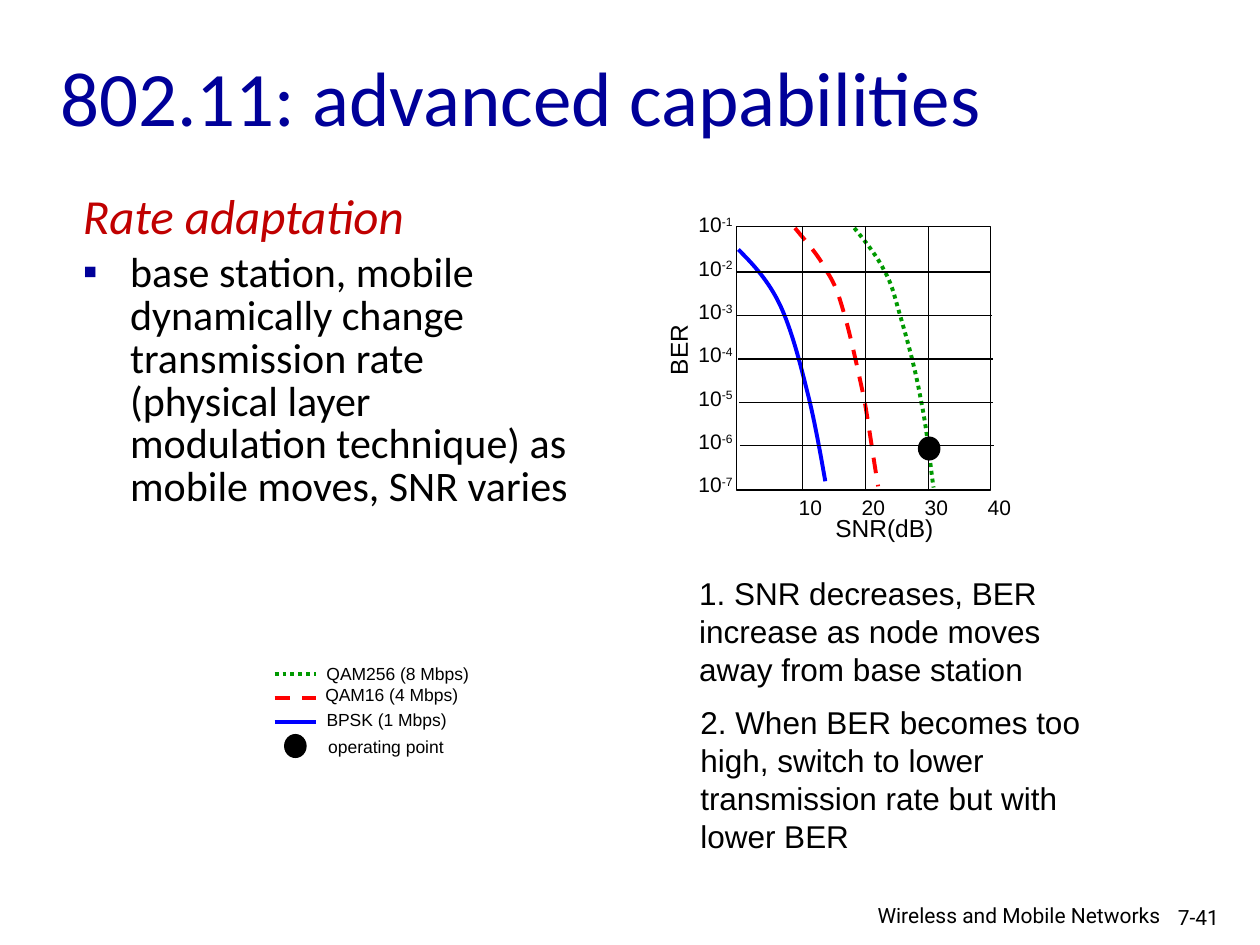
from dataclasses import dataclass
from typing import Optional

from lxml import etree
from pptx import Presentation
from pptx.dml.color import RGBColor
from pptx.enum import dml, shapes, text
from pptx.oxml import ns
from pptx.util import Pt

BLACK = RGBColor(0, 0, 0)
NAVY = RGBColor(0, 0, 0x99)
CRIMSON = RGBColor(0xC0, 0, 0)
BLUE = RGBColor(0, 0, 0xFF)
RED = RGBColor(0xFF, 0, 0)
GREEN = RGBColor(0, 0x99, 0)

DASH = dml.MSO_LINE.DASH
DOT = dml.MSO_LINE.ROUND_DOT

LEFT, TOP, WIDE, HIGH = 420.8, 129.6, 145.4, 150.4
ROW, COL = 24.8, 36


@dataclass
class Label:
    words: str
    x: float
    y: float
    w: float
    h: float
    size: float
    font: str = "Arial"
    color: RGBColor = BLACK
    wrap: bool = False
    power: str = ""
    turn: float = 0
    align: Optional[text.PP_ALIGN] = None
    anchor: Optional[text.MSO_ANCHOR] = None


@dataclass
class Rate:
    """One modulation: its legend row and its Bezier control points."""
    name: str
    color: RGBColor
    dash: Optional[dml.MSO_LINE]
    x: float
    y: float
    w: float
    line: float
    points: list[tuple[float, float]]


RATES = [
    Rate("BPSK (1 Mbps)", BLUE, None, 179.5, 401.8, 82.8, 412.6,
         [(421.9, 142.6), (430.6, 151.2), (439.2, 160.6), (445.7, 174.2),
          (452.2, 187.9), (457.2, 207.4), (461.5, 224.6),
          (465.8, 241.2), (470.2, 267.1), (471.6, 275)]),
    Rate("QAM16 (4 Mbps)", RED, DASH, 178.8, 387.6, 90.7, 399,
         [(454.3, 130.3), (460.8, 138.2), (468, 146.2), (472.3, 154.8),
          (477.4, 162.7), (478.8, 167), (482.4, 179.3),
          (486, 191.5), (490.3, 211.7), (493.9, 228.2),
          (496.8, 244.8), (499, 261.4), (501.8, 277.9)]),
    Rate("QAM256 (8 Mbps)", GREEN, DOT, 179.5, 375.5, 95.8, 385.2,
         [(488.2, 130.3), (494.6, 138.2), (501.1, 146.2), (505.4, 154.8),
          (509.8, 162.7), (510.5, 167), (514.1, 179.3),
          (517.7, 191.5), (523.4, 211.7), (526.3, 229),
          (529.9, 245.5), (532.1, 270.7), (533.5, 278.6)]),
]

LABELS = [
    Label("802.11: advanced capabilities", 27.4, 21.6, 612, 66.2, 44,
          "Calibri", NAVY, wrap=True, anchor=text.MSO_ANCHOR.MIDDLE),
    Label("SNR(dB)", 470.2, 289.4, 70.6, 23.8, 14),
    Label("BER", 365.8, 187.9, 43.2, 23.8, 14, turn=270),
    Label("operating point", 180.5, 416.9, 80.4, 19.4, 10),
    Label("1. SNR decreases, BER increase as node moves away from base station",
          392.4, 324.7, 252, 72, 18, wrap=True),
    Label("2. When BER becomes too high, switch to lower transmission rate "
          "but with lower BER", 393.1, 398.3, 252, 93.6, 18, wrap=True),
    Label("7-41", 666, 513.4, 54, 21.6, 12, "Roboto", wrap=True),
    Label("Wireless and Mobile Networks ", 460.8, 512.4, 212.4, 20.2, 12,
          "Roboto", wrap=True, align=text.PP_ALIGN.RIGHT),
]


def style(par, font: str, size: float, color: RGBColor) -> None:
    par.font.name = font
    par.font.size = Pt(size)
    par.font.color.rgb = color


def put(slide, label: Label) -> None:
    box = slide.shapes.add_textbox(
        Pt(label.x), Pt(label.y), Pt(label.w), Pt(label.h))
    box.rotation = label.turn
    frame = box.text_frame
    frame.word_wrap = label.wrap
    if not label.wrap:
        frame.auto_size = text.MSO_AUTO_SIZE.SHAPE_TO_FIT_TEXT
    frame.vertical_anchor = label.anchor
    par = frame.paragraphs[0]
    par.alignment = label.align
    par.add_run().text = label.words
    if label.power:
        run = par.add_run()
        run.text = label.power
        run.font._element.set("baseline", "30000")
    style(par, label.font, label.size, label.color)


def stroke(line, color: RGBColor, width: float, dash=None) -> None:
    line.color.rgb = color
    line.width = Pt(width)
    if dash is not None:
        line.dash_style = dash


def rule(slide, x1: float, y1: float, x2: float, y2: float,
         color: RGBColor = BLACK, width: float = 0.75, dash=None) -> None:
    line = slide.shapes.add_connector(
        shapes.MSO_CONNECTOR.STRAIGHT, Pt(x1), Pt(y1), Pt(x2), Pt(y2))
    stroke(line.line, color, width, dash)
    etree.SubElement(line._element.spPr, ns.qn("a:effectLst"))


def curve(slide, rate: Rate) -> None:
    """Lay the control points as segments, then join each three as a Bezier."""
    start, *rest = [(Pt(x), Pt(y)) for x, y in rate.points]
    pen = slide.shapes.build_freeform(*start)
    pen.add_line_segments(rest, close=False)
    shape = pen.convert_to_shape()
    legs = list(shape._element.iter(ns.qn("a:lnTo")))
    for i in range(0, len(legs), 3):
        bend = etree.Element(ns.qn("a:cubicBezTo"))
        legs[i].addprevious(bend)
        for leg in legs[i:i + 3]:
            bend.append(leg[0])
            leg.getparent().remove(leg)
    shape.fill.background()
    shape.shadow.inherit = False
    stroke(shape.line, rate.color, 2.25, rate.dash)


def block(slide, kind, x: float, y: float, w: float, h: float,
          fill: Optional[RGBColor] = None) -> None:
    shape = slide.shapes.add_shape(kind, Pt(x), Pt(y), Pt(w), Pt(h))
    shape.shadow.inherit = False
    if fill is None:
        shape.fill.background()
    else:
        shape.fill.solid()
        shape.fill.fore_color.rgb = fill
    stroke(shape.line, BLACK, 0.75)


def body(slide) -> None:
    frame = slide.shapes.add_textbox(
        Pt(40.3), Pt(107.6), Pt(295.2), Pt(365.8)).text_frame
    frame.word_wrap = True
    head, item = frame.paragraphs[0], frame.add_paragraph()
    head.text = "Rate adaptation"
    item.text = ("base station, mobile dynamically change transmission rate "
                 "(physical layer modulation technique) as mobile moves, "
                 "SNR varies")
    for par in (head, item):
        par.line_spacing = 0.85
        par.space_before = Pt(5)
        props = par._p.get_or_add_pPr()
        props.set("marL", str(Pt(27)))
        props.set("indent", str(-Pt(27)))
    tint = etree.SubElement(props, ns.qn("a:buClr"))
    etree.SubElement(tint, ns.qn("a:srgbClr"), val=str(NAVY))
    etree.SubElement(props, ns.qn("a:buFont"), typeface="Arial")
    etree.SubElement(props, ns.qn("a:buChar"), char="▪")
    style(head, "Calibri", 28, CRIMSON)
    head.font.italic = True
    style(item, "Calibri", 24, BLACK)


def graph(slide) -> None:
    for rate in RATES:
        curve(slide, rate)
    block(slide, shapes.MSO_SHAPE.RECTANGLE, LEFT, TOP, WIDE, HIGH)
    for i in range(5):
        x, y = LEFT + 0.5 * i, 155.5 + ROW * i
        rule(slide, x, y, x + WIDE, y)
    for i in range(3):
        x = 458.6 + COL * i
        rule(slide, x, TOP, x, TOP + HIGH)
    for i in range(4):
        put(slide, Label(str(10 * (i + 1)), 449.3 + COL * i, 279, 28, 21.6, 12))
    for i in range(7):
        put(slide, Label("10", 392, 117.4 + ROW * i, 34.6, 21.6, 12,
                         power=f"-{i + 1}"))


def main() -> None:
    deck = Presentation()
    deck.slide_width, deck.slide_height = Pt(720), Pt(540)
    slide = deck.slides.add_slide(deck.slide_layouts[6])
    body(slide)
    graph(slide)
    for rate in RATES:
        rule(slide, 157, rate.line, 180.5, rate.line, rate.color, 2.25, rate.dash)
        put(slide, Label(rate.name, rate.x, rate.y, rate.w, 19.4, 10))
    for x, y in ((524.9, 249.8), (162.7, 419.8)):
        block(slide, shapes.MSO_SHAPE.OVAL, x, y, 12.2, 13, BLACK)
    for label in LABELS:
        put(slide, label)
    deck.save("out.pptx")


if __name__ == "__main__":
    main()
